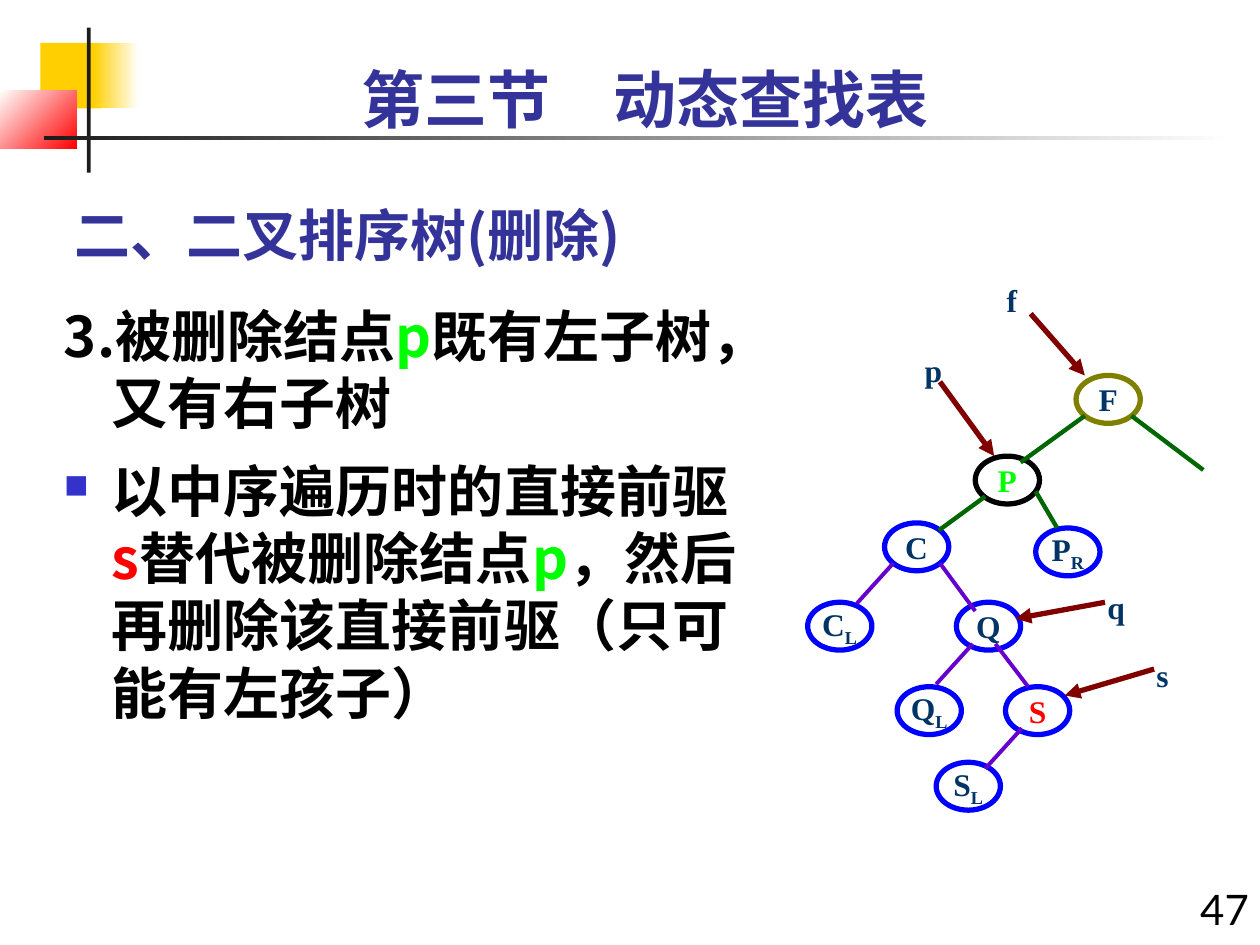
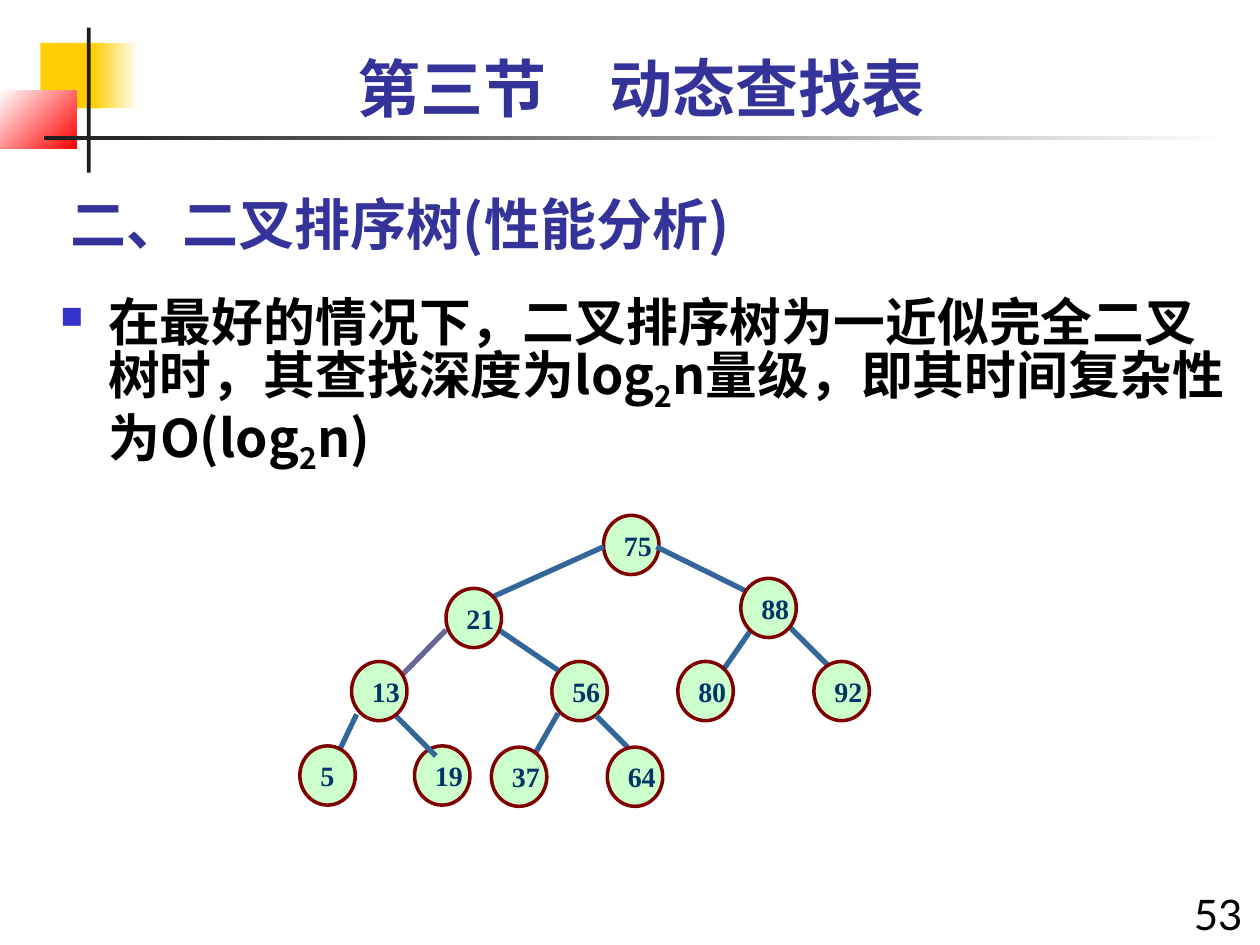
"""Build two lecture slides on deleting from and searching binary sort trees."""
from dataclasses import dataclass

from lxml import etree
from pptx import Presentation
from pptx import util as u
from pptx.dml.color import RGBColor
from pptx.enum import shapes, text
from pptx.oxml import ns

PX = 9144


@dataclass(frozen=True)
class Theme:
    """Colours, fonts and type sizes."""
    heading: str = "333399"
    ink: str = "000000"
    bullet: str = "3333CC"
    green: str = "00FF00"
    red: str = "FF0000"
    white: str = "FFFFFF"
    gold: str = "FFCF01"
    bar: str = "1C1C1C"
    node_text: str = "003366"
    blue: str = "0000FF"
    olive: str = "808000"
    maroon: str = "800000"
    mint: str = "CCFFCC"
    leaf_edge: str = "6600CC"
    root_edge: str = "006600"
    steel: str = "336699"
    violet: str = "666699"
    cjk: str = "Noto Sans CJK SC"
    latin: str = "Lato"
    serif: str = "Times New Roman"
    header_size: float = 36
    title_size: float = 32
    number_size: float = 24
    label_size: float = 18
    value_size: float = 16
    leading: float = 1.2


T = Theme()
ALIGN = text.PP_ALIGN


@dataclass(frozen=True)
class Style:
    """Type style of a run of text."""
    font: str
    size: float
    color: str
    bold: bool = True


HEADER = Style(T.latin, T.header_size, T.heading)
TITLE = Style(T.cjk, T.title_size, T.heading)
NUMBER = Style(T.latin, T.number_size, T.ink, False)
LABEL = Style(T.serif, T.label_size, T.node_text)
VALUE = Style(T.serif, T.value_size, T.node_text)


def rgb(color):
    """Turn a hex string into a colour."""
    return RGBColor.from_string(color)


def px(*lengths):
    """Turn px lengths into EMU."""
    return [u.Emu(length * PX) for length in lengths]


def child(parent, tag, **attributes):
    """Append a DrawingML element."""
    return etree.SubElement(parent, ns.qn(tag), attributes)


def write(para, spans, style):
    """Write spans of (text, colour, subscript); plain strings use the style."""
    for item in [spans] if isinstance(spans, str) else spans:
        words, color, sub = (item, None, False) if isinstance(item, str) else item
        span = para.add_run()
        span.text = words
        span.font.name = style.font
        span.font.size = u.Pt(style.size)
        span.font.bold = style.bold
        span.font.color.rgb = rgb(color or style.color)
        props = span._r.get_or_add_rPr()
        child(props, "a:ea", typeface=T.cjk)
        if sub:
            props.set("baseline", "-25000")


def add_text(page, at, spans, style, align=ALIGN.LEFT,
             anchor=text.MSO_ANCHOR.TOP, wrap=True):
    """Add a one-paragraph text box."""
    box = page.shapes.add_textbox(*px(*at))
    frame = box.text_frame
    frame.word_wrap = wrap
    frame.vertical_anchor = anchor
    para = frame.paragraphs[0]
    para.alignment = align
    if style in (HEADER, TITLE):
        para.line_spacing = u.Pt(style.size * T.leading)
    write(para, spans, style)


def add_body(page, at, paragraphs, style):
    """Add hanging paragraphs, each given as (has bullet, spans)."""
    frame = page.shapes.add_textbox(*px(*at)).text_frame
    frame.word_wrap = True
    for index, (bulleted, spans) in enumerate(paragraphs):
        para = frame.add_paragraph() if index else frame.paragraphs[0]
        props = para._p.get_or_add_pPr()
        props.set("marL", str(38 * PX))
        props.set("indent", str(-38 * PX))
        if bulleted:
            child(child(props, "a:buClr"), "a:srgbClr", val=T.bullet)
            child(props, "a:buSzPct", val="60000")
            child(props, "a:buChar", char="■")
        para.line_spacing = u.Pt(round(style.size * T.leading, 1))
        if index:
            para.space_before = u.Pt(12)
        write(para, spans, style)


def add_band(page, at, start, end=None, angle=0):
    """Add a decorative rectangle, solid or fading from start to end."""
    band = page.shapes.add_shape(shapes.MSO_SHAPE.RECTANGLE, *px(*at))
    band.shadow.inherit = False
    band.line.fill.background()
    if end is None:
        band.fill.solid()
        band.fill.fore_color.rgb = rgb(start)
        return
    band.fill.gradient()
    band.fill.gradient_angle = angle
    for stop, color, position in zip(band.fill.gradient_stops, (start, end), (0, 1)):
        stop.color.rgb = rgb(color)
        stop.position = position


def add_node(page, at, spans, style, line, width, fill=None, align=ALIGN.CENTER):
    """Add an oval tree node."""
    node = page.shapes.add_shape(shapes.MSO_SHAPE.OVAL, *px(*at))
    node.shadow.inherit = False
    if fill:
        node.fill.solid()
        node.fill.fore_color.rgb = rgb(fill)
    else:
        node.fill.background()
    node.line.color.rgb = rgb(line)
    node.line.width = u.Pt(width)
    frame = node.text_frame
    frame.word_wrap = False
    frame.vertical_anchor = text.MSO_ANCHOR.MIDDLE
    frame.paragraphs[0].alignment = align
    write(frame.paragraphs[0], spans, style)


def add_edge(page, ends, color, width, arrow=False):
    """Add a straight line, with an arrowhead at its end if asked."""
    edge = page.shapes.add_connector(shapes.MSO_CONNECTOR.STRAIGHT, *px(*ends))
    edge.line.color.rgb = rgb(color)
    edge.line.width = u.Pt(width)
    if arrow:
        child(edge.line._get_or_add_ln(), "a:tailEnd", type="triangle")
    child(edge._element.spPr, "a:effectLst")


def add_page(deck, title, number, title_at, header_at, number_at):
    """Add a page with the shared bands, header, title and number."""
    page = deck.slides.add_slide(deck.slide_layouts[6])
    add_band(page, (32, 34, 48, 52), T.gold)
    add_band(page, (74, 34, 36, 52), T.gold, T.white)
    add_band(page, (0, 72, 61, 46), T.white, T.red, 315)
    add_band(page, (69, 22, 3, 115), T.bar)
    add_band(page, (35, 108, 945, 3), T.bar, T.white)
    add_text(page, (*title_at, 625, 75), title, TITLE, anchor=text.MSO_ANCHOR.BOTTOM)
    add_text(page, (*number_at, 67, 59), number, NUMBER, ALIGN.RIGHT)
    add_text(page, (*header_at, 925, 70), "第三节　动态查找表", HEADER, ALIGN.CENTER)
    return page


def add_deletion_tree(page):
    """Draw the tree whose node P is to be deleted."""
    nodes = [
        (774, 362, "P", "", T.ink, T.green),
        (702, 415, "C", "", T.blue, None),
        (854, 298, "F", "", T.olive, None),
        (822, 419, "P", "R", T.blue, None),
        (641, 478, "C", "L", T.blue, None),
        (759, 478, "Q", "", T.blue, None),
        (743, 605, "S", "L", T.blue, None),
        (712, 545, "Q", "L", T.blue, None),
        (798, 545, "S", "", T.blue, T.red),
    ]
    for left, top, name, sub, line, color in nodes:
        spans = [(name, color, False)] + ([(sub, color, True)] if sub else [])
        add_node(page, (left, top, 51, 38), spans, LABEL, line, 3)

    edges = {
        (T.leaf_edge, 2.25, False): [
            (709, 447, 680, 479), (746, 447, 774, 485), (772, 511, 743, 543),
            (790, 511, 816, 545), (811, 578, 782, 610)],
        (T.root_edge, 2.5, False): [
            (782, 394, 745, 421), (861, 330, 810, 367),
            (898, 330, 955, 373), (822, 390, 839, 419)],
        (T.maroon, 3, True): [
            (746, 303, 789, 362), (818, 249, 861, 298),
            (877, 478, 806, 491), (916, 531, 845, 552)],
    }
    for look, lines in edges.items():
        for ends in lines:
            add_edge(page, ends, *look)

    pointers = [("p", 724, 274, 34), ("f", 789, 218, 32),
                ("q", 869, 462, 34), ("s", 908, 516, 29)]
    for name, left, top, width in pointers:
        add_text(page, (left, top, width, 40), name, LABEL, wrap=False)


def add_balanced_tree(page):
    """Draw the nearly complete tree of values."""
    def add_values(values):
        for value, left, top in values:
            add_node(page, (left, top, 44, 47), value, VALUE,
                     T.maroon, 2, T.mint, ALIGN.LEFT)

    add_values([("75", 479, 409), ("56", 438, 525), ("19", 329, 592)])
    edges = [
        (479, 434, 388, 475), (521, 434, 604, 475), (396, 500, 443, 532),
        (443, 566, 423, 601), (621, 492, 663, 534), (283, 567, 263, 609),
        (313, 567, 346, 600), (473, 568, 498, 593), (596, 500, 571, 536),
    ]
    for ends in edges:
        add_edge(page, ends, T.steel, 3)
    add_edge(page, (354, 500, 313, 542), T.violet, 3)
    add_values([("64", 482, 593), ("5", 238, 592), ("37", 390, 593),
                ("21", 354, 467), ("80", 538, 525), ("13", 279, 525),
                ("88", 588, 459), ("92", 646, 525)])


def main():
    """Build and save the deck."""
    deck = Presentation()
    deck.slide_width, deck.slide_height = px(1000, 750)

    page = add_page(deck, "二、二叉排序树(删除)", "47", (49, 142), (49, 43), (934, 696))
    target = ("p", T.green, False)
    add_body(page, (41, 234, 567, 442), [
        (False, ["3.被删除结点", target, "既有左子树，又有右子树"]),
        (True, ["以中序遍历时的直接前驱", ("s", T.red, False), "替代被删除结点", target,
                "，然后再删除该直接前驱（只可能有左孩子）"]),
    ], Style(T.cjk, 32, T.ink))
    add_deletion_tree(page)

    page = add_page(deck, "二、二叉排序树(性能分析)", "53", (46, 134), (46, 34), (929, 700))
    base = ("2", None, True)
    add_body(page, (38, 225, 958, 183), [
        (True, ["在最好的情况下，二叉排序树为一近似完全二叉树时，其查找深度为log", base,
                "n量级，即其时间复杂性为O(log", base, "n)"]),
    ], Style(T.cjk, 29.6, T.ink))
    add_balanced_tree(page)

    deck.save("out.pptx")


if __name__ == "__main__":
    main()
